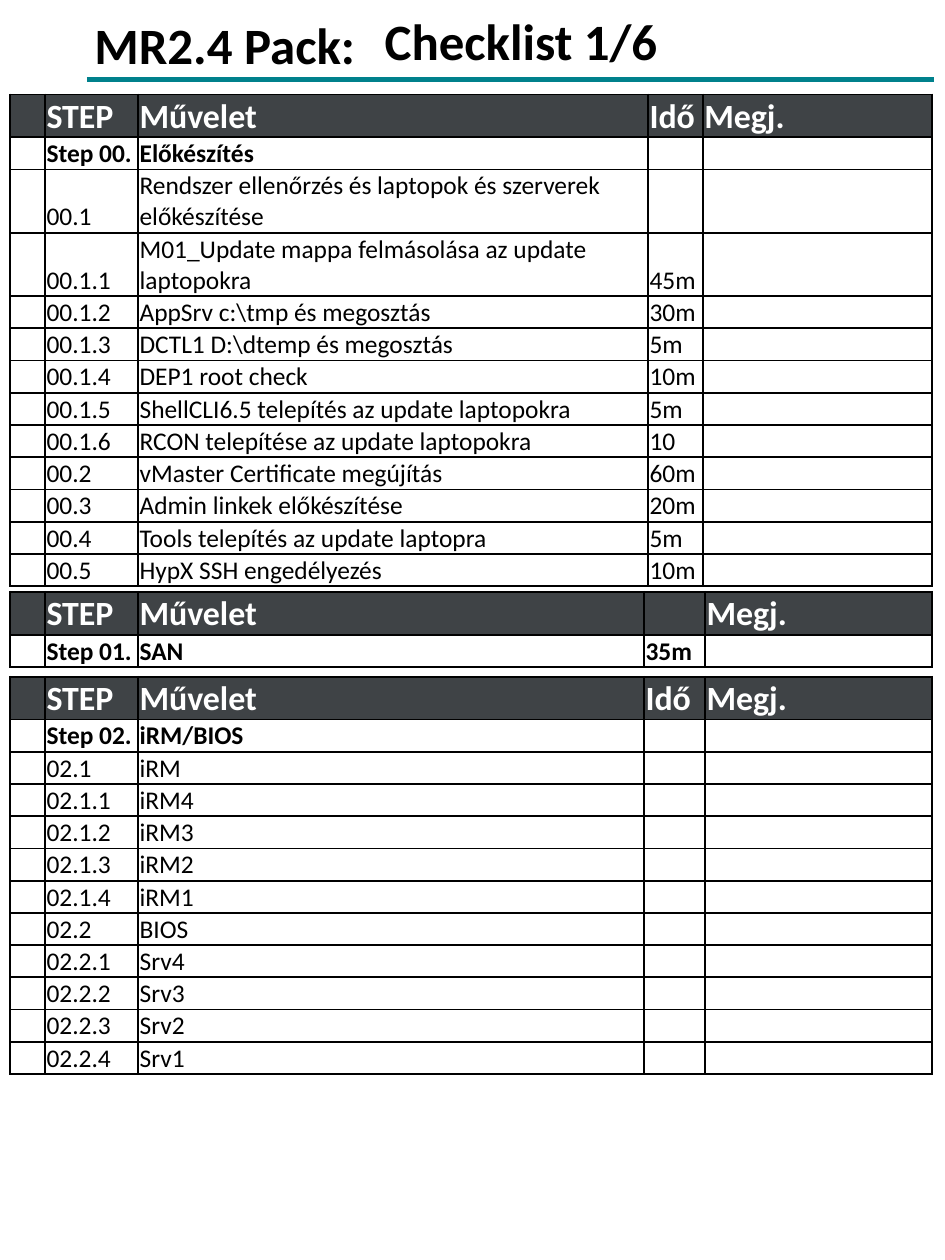
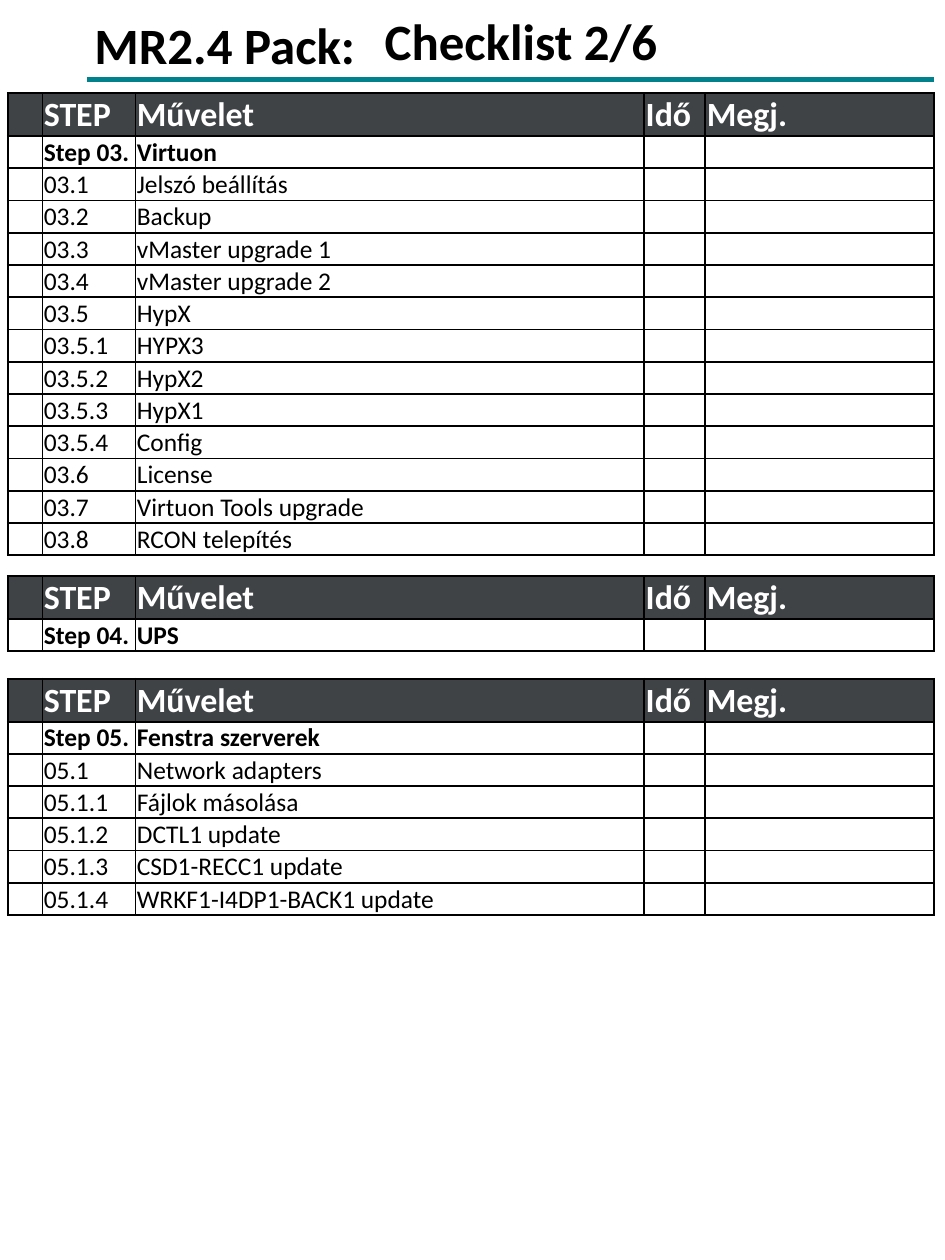
import pptx
import pptx.dml.color
import pptx.enum.shapes
import pptx.enum.text
import pptx.oxml
import pptx.oxml.ns
import pptx.util
from lxml import etree

Pt = pptx.util.Pt
ANCHOR = pptx.enum.text.MSO_ANCHOR
FONT = "Calibri"
BLACK, WHITE, TEAL, SLATE = "000000", "FFFFFF", "00818C", "3F4346"
TITLE = {"size": 24, "bold": True, "color": BLACK}
HEADER = {"size": 16, "bold": True, "color": WHITE}
STEP = {"size": 12, "bold": True, "color": BLACK}
TASK = {"size": 12, "bold": False, "color": BLACK}
HEADER_HEIGHT, ROW_HEIGHT, WRAPPED_HEIGHT = 20.2, 15.2, 29.85
WRAP_LENGTH = 45
HEADINGS = ("STEP", "Művelet", "Idő", "Megj.")
UNTIMED_HEADINGS = ("STEP", "Művelet", "", "Megj.")
WIDE_TASK = (16.5, 43.9, 240.5, 25.9, 108)
WIDE_TIME = (16.5, 43.9, 238.6, 28.8, 107)
SECOND_PAGE = (16.3, 43.9, 240, 28.8, 108)

# Each table: left, top, column widths, headings, rows of (step, task, time)
PAGES = [
    ("Checklist 1/6", [
        (4.8, 44.5, WIDE_TASK, HEADINGS, [
            ("Step 00.", "Előkészítés"),
            ("00.1", "Rendszer ellenőrzés és laptopok és szerverek előkészítése"),
            ("00.1.1", "M01_Update mappa felmásolása az update laptopokra", "45m"),
            ("00.1.2", "AppSrv c:\\tmp és megosztás", "30m"),
            ("00.1.3", "DCTL1 D:\\dtemp és megosztás", "5m"),
            ("00.1.4", "DEP1 root check", "10m"),
            ("00.1.5", "ShellCLI6.5 telepítés az update laptopokra", "5m"),
            ("00.1.6", "RCON telepítése az update laptopokra", "10"),
            ("00.2", "vMaster Certificate megújítás", "60m"),
            ("00.3", "Admin linkek előkészítése", "20m"),
            ("00.4", "Tools telepítés az update laptopra", "5m"),
            ("00.5", "HypX SSH engedélyezés", "10m"),
        ]),
        (4.8, 279, WIDE_TIME, UNTIMED_HEADINGS, [("Step 01.", "SAN", "35m")]),
        (4.8, 319, WIDE_TIME, HEADINGS, [
            ("Step 02.", "iRM/BIOS"),
            ("02.1", "iRM"),
            ("02.1.1", "iRM4"),
            ("02.1.2", "iRM3"),
            ("02.1.3", "iRM2"),
            ("02.1.4", "iRM1"),
            ("02.2", "BIOS"),
            ("02.2.1", "Srv4"),
            ("02.2.2", "Srv3"),
            ("02.2.3", "Srv2"),
            ("02.2.4", "Srv1"),
        ]),
    ]),
    ("Checklist 2/6", [
        (3.7, 44, SECOND_PAGE, HEADINGS, [
            ("Step 03.", "Virtuon"),
            ("03.1", "Jelszó beállítás"),
            ("03.2", "Backup"),
            ("03.3", "vMaster upgrade 1"),
            ("03.4", "vMaster upgrade 2"),
            ("03.5", "HypX"),
            ("03.5.1", "HYPX3"),
            ("03.5.2", "HypX2"),
            ("03.5.3", "HypX1"),
            ("03.5.4", "Config"),
            ("03.6", "License"),
            ("03.7", "Virtuon Tools upgrade"),
            ("03.8", "RCON telepítés"),
        ]),
        (3.7, 271.5, SECOND_PAGE, HEADINGS, [("Step 04.", "UPS")]),
        (3.7, 320, SECOND_PAGE, HEADINGS, [
            ("Step 05.", "Fenstra szerverek"),
            ("05.1", "Network adapters"),
            ("05.1.1", "Fájlok másolása"),
            ("05.1.2", "DCTL1 update"),
            ("05.1.3", "CSD1-RECC1 update"),
            ("05.1.4", "WRKF1-I4DP1-BACK1 update"),
        ]),
    ]),
]


def rgb(value):
    return pptx.dml.color.RGBColor.from_string(value)


def sub(parent, tag, **attributes):
    return etree.SubElement(parent, pptx.oxml.ns.qn(tag), attributes)


def set_attributes(obj, values):
    for name, value in values.items():
        setattr(obj, name, value)


def write(tf, text, style):
    """Write one formatted run, or only the text size when there is no text."""
    p = tf.paragraphs[0]
    if not text:
        sub(p._p, "a:endParaRPr", sz=str(style["size"] * 100))
        return
    r = p.add_run()
    r.text = text
    set_attributes(r.font, {"name": FONT, "size": Pt(style["size"]), "bold": style["bold"]})
    r.font.color.rgb = rgb(style["color"])


def add_borders(cell):
    tc_pr = cell._tc.get_or_add_tcPr()
    for i, side in enumerate("LRTB"):
        ln = sub(tc_pr, f"a:ln{side}", w=str(Pt(1)))
        sub(sub(ln, "a:solidFill"), "a:srgbClr", val=BLACK)
        tc_pr.insert(i, ln)


def fill_cell(cell, text, style):
    set_attributes(cell, {
        "margin_left": Pt(0.7), "margin_right": Pt(0.7), "margin_top": Pt(0.5),
        "margin_bottom": 0, "vertical_anchor": ANCHOR.BOTTOM,
    })
    if style is HEADER:
        cell.fill.solid()
        cell.fill.fore_color.rgb = rgb(SLATE)
    else:
        cell.fill.background()
    add_borders(cell)
    write(cell.text_frame, text, style)


def row_height(index, texts):
    if index == 0:
        return HEADER_HEIGHT
    return WRAPPED_HEIGHT if len(texts[1]) > WRAP_LENGTH else ROW_HEIGHT


def add_checklist(s, left, top, widths, headings, tasks):
    """Add a table whose first column is left empty for ticking off."""
    rows = [headings, *tasks]
    heights = [row_height(i, texts) for i, texts in enumerate(rows)]
    table = s.shapes.add_table(len(rows), len(widths), Pt(left), Pt(top),
                               Pt(sum(widths)), Pt(sum(heights))).table
    set_attributes(table, {"first_row": False, "horz_banding": False})
    for column, width in zip(table.columns, widths):
        column.width = Pt(width)
    for i, texts in enumerate(rows):
        table.rows[i].height = Pt(heights[i])
        style = (HEADER, STEP, TASK)[min(i, 2)]
        padded = ("", *texts, "", "")
        for cell, text in zip(table.rows[i].cells, padded):
            fill_cell(cell, text, style)


def prepare_layout(layout):
    """Place the title and keep no other placeholder."""
    for sp in list(layout.placeholders):
        if sp.placeholder_format.idx:
            sp.element.getparent().remove(sp.element)
        else:
            set_attributes(sp, {"left": Pt(174.2), "top": Pt(-3.6),
                                "width": Pt(251.3), "height": Pt(48.2)})


def add_band(s, layout):
    """Draw the pack name and rule, then move them to the shared layout."""
    label = s.shapes.add_textbox(Pt(37.4), Pt(2.9), Pt(138.2), Pt(36))
    label.text_frame.word_wrap = False
    write(label.text_frame, "MR2.4 Pack:", TITLE)
    rule = s.shapes.add_connector(pptx.enum.shapes.MSO_CONNECTOR.STRAIGHT,
                                  Pt(41), Pt(37.4), Pt(440.6), Pt(37.4))
    rule.line.width = Pt(2.25)
    rule.line.color.rgb = rgb(TEAL)
    sub(rule.element.spPr, "a:effectLst")
    for sp in (label, rule):
        layout.shapes.element.append(sp.element)


def set_title(s, text):
    tf = s.shapes.title.text_frame
    set_attributes(tf, {"vertical_anchor": ANCHOR.MIDDLE, "word_wrap": True,
                        "auto_size": pptx.enum.text.MSO_AUTO_SIZE.NONE})
    set_attributes(tf.paragraphs[0], {"alignment": pptx.enum.text.PP_ALIGN.LEFT,
                                      "line_spacing": 0.9})
    write(tf, text, TITLE)


def main():
    prs = pptx.Presentation()
    set_attributes(prs, {"slide_width": Pt(445.68), "slide_height": Pt(594)})
    layout = prs.slide_layouts[5]
    prepare_layout(layout)
    for i, (title, checklists) in enumerate(PAGES):
        s = prs.slides.add_slide(layout)
        if i == 0:
            add_band(s, layout)
        set_title(s, title)
        for checklist in checklists:
            add_checklist(s, *checklist)
    prs.save("out.pptx")


if __name__ == "__main__":
    main()
